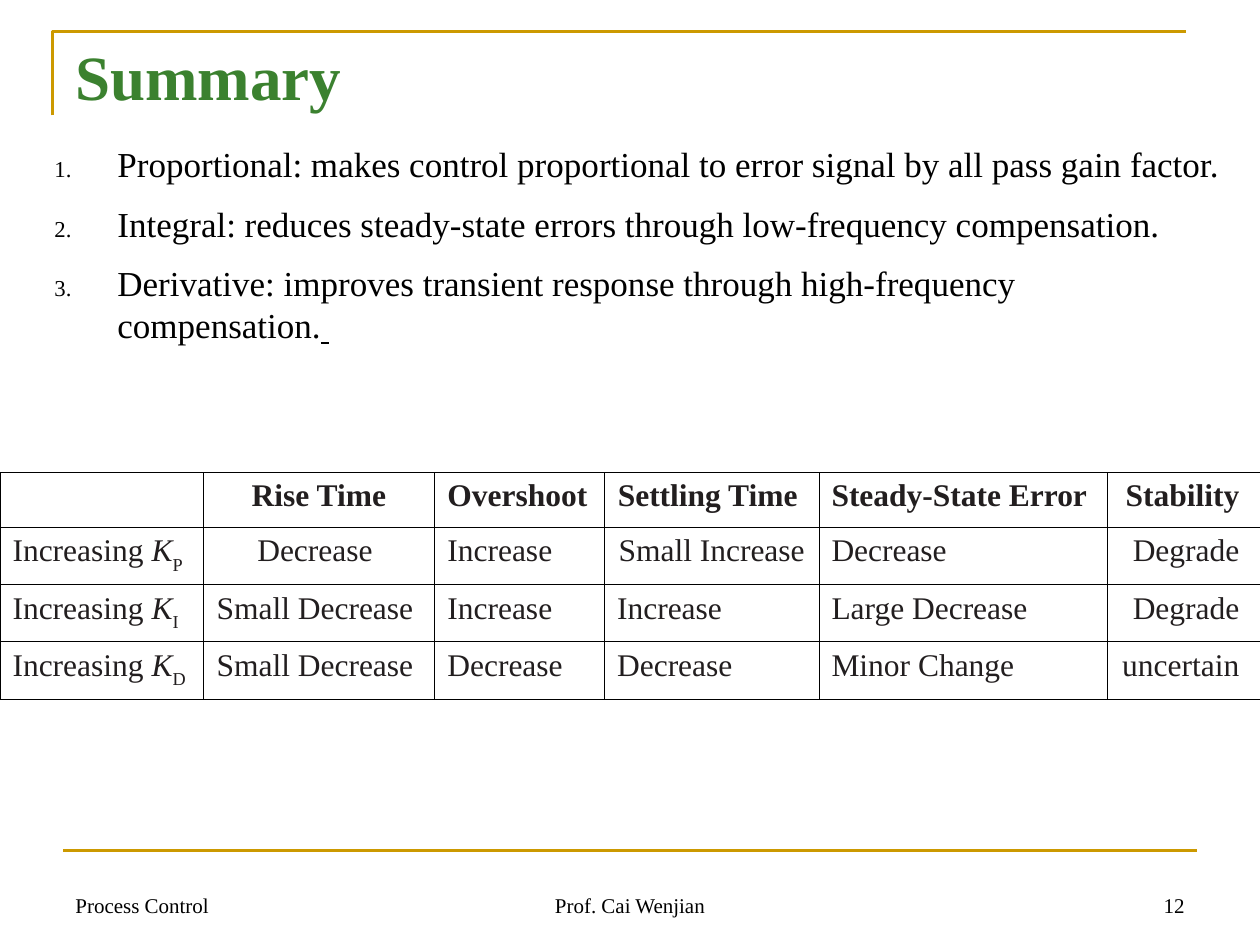
from dataclasses import dataclass

import pptx
import pptx.dml.color
import pptx.enum.shapes
import pptx.enum.text
import pptx.oxml
import pptx.util
from lxml import etree
from pptx.oxml.ns import qn

Pt = pptx.util.Pt
ALIGN = pptx.enum.text.PP_ALIGN
ANCHOR = pptx.enum.text.MSO_ANCHOR


@dataclass(frozen=True)
class Theme:
    font: str = "Times New Roman"
    black: str = "000000"
    gold: str = "CC9900"
    green: str = "3B812F"
    table_text: str = "221E1F"
    title_size: float = 36
    list_size: float = 20
    table_size: float = 18
    footer_size: float = 12
    rule_width: float = 1.5
    border_width: float = 0.45


THEME = Theme()

POINTS = [
    [("Proportional: makes control proportional to error signal by all pass gain factor.", {})],
    [("Integral: reduces steady-state errors through low-frequency compensation.", {})],
    [("Derivative: improves transient response through high-frequency compensation.", {}),
     (" ", {"underline": True})],
]
HEADINGS = ["Rise Time", "Overshoot", "Settling Time ", "Steady-State Error", "Stability "]
EFFECTS = {
    "P": ["Decrease ", "Increase", "Small Increase ", "Decrease", "Degrade "],
    "I": ["Small Decrease ", "Increase", "Increase", "Large Decrease", "Degrade "],
    "D": ["Small Decrease ", "Decrease", "Decrease", "Minor Change", "uncertain "],
}
COLUMN_WIDTHS = [116, 132.5, 97, 122.5, 165, 87]
ROW_HEIGHTS = [31.4, 32.5, 32.5, 32.5]


def rgb(value):
    return pptx.dml.color.RGBColor.from_string(value)


def add_run(paragraph, text, size, color, bold=False, italic=False, underline=None, baseline=None):
    run = paragraph.add_run()
    run.text = text
    font = run.font
    font.name, font.size, font.color.rgb = THEME.font, Pt(size), rgb(color)
    font.bold, font.italic, font.underline = bold, italic, underline
    if baseline:
        run._r.get_or_add_rPr().set("baseline", str(baseline))


def add_text_frame(slide, box, anchor):
    frame = slide.shapes.add_textbox(*map(Pt, box)).text_frame
    frame.word_wrap = True
    frame.vertical_anchor = anchor
    return frame


def style_rule(shape):
    shape.line.color.rgb = rgb(THEME.gold)
    shape.line.width = Pt(THEME.rule_width)


def add_frame_rules(slide, corner_box, footer_rule):
    # Corner rule around the title
    left, top, width, height = corner_box
    builder = slide.shapes.build_freeform(Pt(left), Pt(top + height))
    builder.add_line_segments(
        [(Pt(left), Pt(top)), (Pt(left + width), Pt(top))], close=False)
    corner = builder.convert_to_shape()
    corner.fill.background()
    corner.shadow.inherit = False
    style_rule(corner)

    # Rule above the footer
    left, top, width = footer_rule
    rule = slide.shapes.add_connector(
        pptx.enum.shapes.MSO_CONNECTOR.STRAIGHT, Pt(left), Pt(top), Pt(left + width), Pt(top))
    style_rule(rule)
    etree.SubElement(rule._element.spPr, qn("a:effectLst"))


def add_title(slide, box):
    frame = add_text_frame(slide, box, ANCHOR.TOP)
    add_run(frame.paragraphs[0], "Summary", THEME.title_size, THEME.green, bold=True)


def number_paragraph(paragraph, indent):
    properties = paragraph._p.get_or_add_pPr()
    properties.set("marL", str(Pt(indent)))
    properties.set("indent", str(-Pt(indent)))
    color = etree.SubElement(properties, qn("a:buClr"))
    etree.SubElement(color, qn("a:srgbClr"), val=THEME.black)
    etree.SubElement(properties, qn("a:buSzPct"), val="65000")
    etree.SubElement(properties, qn("a:buFont"), typeface=THEME.font)
    etree.SubElement(properties, qn("a:buAutoNum"), type="arabicPeriod")


def add_numbered_list(slide, box):
    frame = add_text_frame(slide, box, ANCHOR.MIDDLE)
    for index, runs in enumerate(POINTS):
        paragraph = frame.add_paragraph() if index else frame.paragraphs[0]
        number_paragraph(paragraph, 36)
        paragraph.space_after = Pt(10)
        for text, style in runs:
            add_run(paragraph, text, THEME.list_size, THEME.black, **style)


def border_cell(cell):
    cell.fill.background()
    properties = cell._tc.get_or_add_tcPr()
    for index, side in enumerate(("lnL", "lnR", "lnT", "lnB")):
        line = etree.Element(qn(f"a:{side}"), w=str(Pt(THEME.border_width)))
        fill = etree.SubElement(line, qn("a:solidFill"))
        etree.SubElement(fill, qn("a:srgbClr"), val=THEME.black)
        properties.insert(index, line)


def add_effects_table(slide, left, top):
    box = (left, top, sum(COLUMN_WIDTHS), sum(ROW_HEIGHTS))
    rows = [[[]] + [[(text, {"bold": True})] for text in HEADINGS]]
    for gain, effects in EFFECTS.items():
        label = [("Increasing ", {}), ("K", {"italic": True}), (gain, {"baseline": -30000})]
        rows.append([label] + [[(text, {})] for text in effects])

    table = slide.shapes.add_table(len(rows), len(COLUMN_WIDTHS), *map(Pt, box)).table
    table.first_row = table.horz_banding = False
    for column, width in zip(table.columns, COLUMN_WIDTHS):
        column.width = Pt(width)
    for row, height in zip(table.rows, ROW_HEIGHTS):
        row.height = Pt(height)

    alignments = {1: ALIGN.CENTER, 5: ALIGN.RIGHT}
    for row_index, row in enumerate(rows):
        for column_index, runs in enumerate(row):
            cell = table.cell(row_index, column_index)
            border_cell(cell)
            paragraph = cell.text_frame.paragraphs[0]
            paragraph.alignment = alignments.get(column_index, ALIGN.LEFT)
            if column_index == 3 and row_index < 2:
                paragraph.alignment = ALIGN.CENTER
            for text, style in runs:
                add_run(paragraph, text, THEME.table_size, THEME.table_text, **style)


def add_footer(slide, box):
    left, top, width, height = box
    side, middle = 168, 228
    parts = [
        ("Process Control", left, side, ALIGN.LEFT),
        ("Prof. Cai Wenjian", left + (width - middle) / 2, middle, ALIGN.CENTER),
        ("12", left + width - side, side, ALIGN.RIGHT),
    ]
    for text, part_left, part_width, alignment in parts:
        frame = add_text_frame(slide, (part_left, top, part_width, height), ANCHOR.BOTTOM)
        frame.paragraphs[0].alignment = alignment
        add_run(frame.paragraphs[0], text, THEME.footer_size, THEME.black)


def main():
    presentation = pptx.Presentation()
    presentation.slide_width, presentation.slide_height = Pt(720), Pt(540)
    slide = presentation.slides.add_slide(presentation.slide_layouts[6])
    add_frame_rules(slide, (30, 18, 648, 48), (36, 486, 648))
    add_footer(slide, (36, 492, 648, 36))
    add_title(slide, (36, 18, 600, 50.4))
    add_numbered_list(slide, (24, 78, 684, 123))
    add_effects_table(slide, 0, 270)
    presentation.save("out.pptx")


if __name__ == "__main__":
    main()
